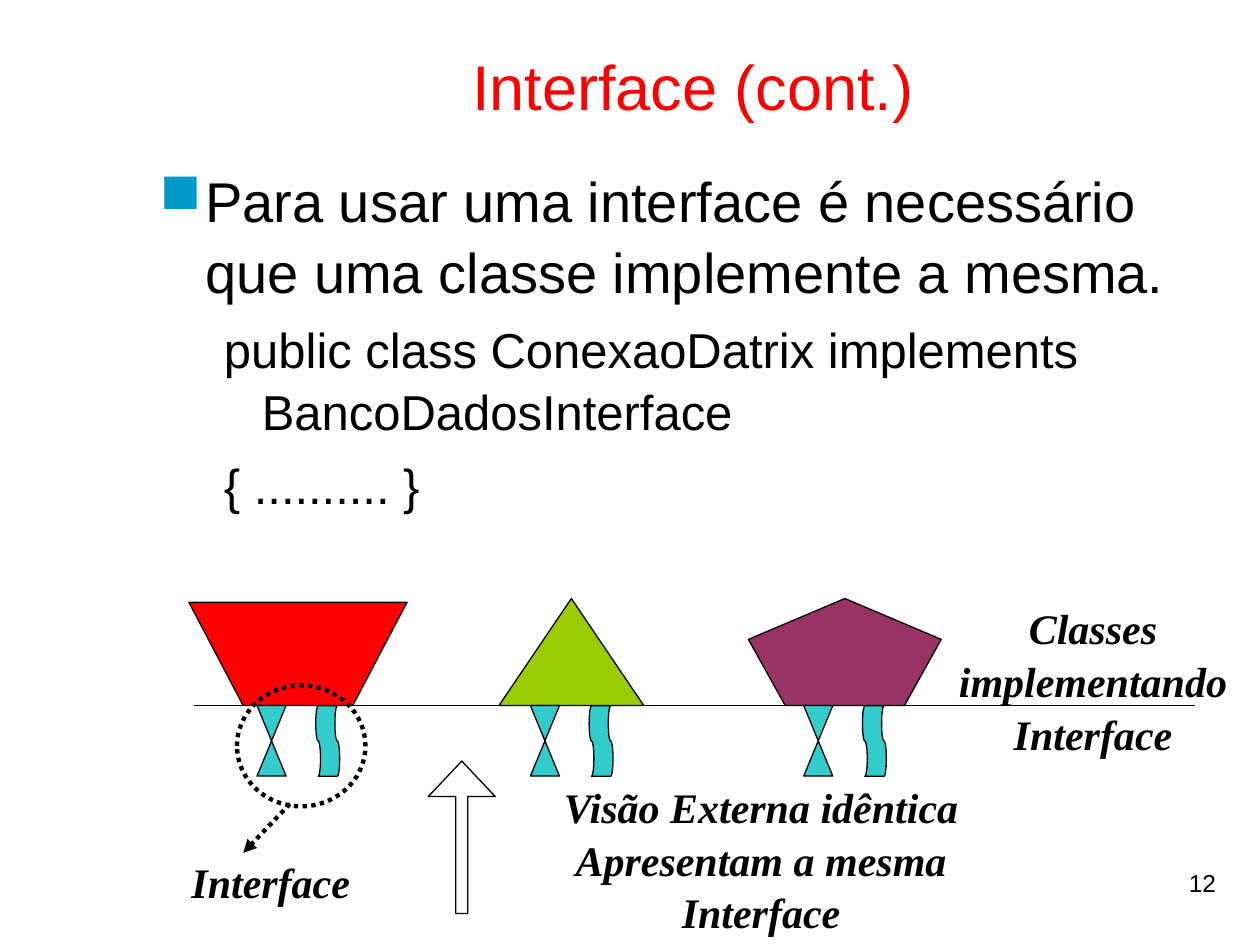
from dataclasses import dataclass
from lxml import etree
from pptx import Presentation
from pptx.dml.color import RGBColor
from pptx.enum.dml import MSO_LINE
from pptx.enum.shapes import MSO_CONNECTOR, MSO_SHAPE
from pptx.enum.text import MSO_ANCHOR, MSO_AUTO_SIZE, PP_ALIGN
from pptx.oxml.ns import qn
from pptx.util import Pt

LEFT, MID, RIGHT = PP_ALIGN.LEFT, PP_ALIGN.CENTER, PP_ALIGN.RIGHT
TOP, CENTER = MSO_ANCHOR.TOP, MSO_ANCHOR.MIDDLE
FIT = MSO_AUTO_SIZE.SHAPE_TO_FIT_TEXT
DOTS = MSO_LINE.ROUND_DOT
STRAIGHT = MSO_CONNECTOR.STRAIGHT
TRIANGLE, PENTAGON = MSO_SHAPE.ISOSCELES_TRIANGLE, MSO_SHAPE.REGULAR_PENTAGON
COLLATE, TAPE = MSO_SHAPE.FLOWCHART_COLLATE, MSO_SHAPE.FLOWCHART_PUNCHED_TAPE
ARROW, OVAL = MSO_SHAPE.UP_ARROW, MSO_SHAPE.OVAL


@dataclass(frozen=True)
class Theme:
    sans: str = "Arial"
    serif: str = "Times New Roman"
    ink: str = "000000"
    paper: str = "FFFFFF"
    red: str = "FF0000"
    blue: str = "0099CC"
    green: str = "99CC00"
    plum: str = "993366"
    teal: str = "33CCCC"
    title: int = 36
    body: int = 32
    code: int = 28
    label: int = 24
    page: int = 14
    thin: float = 0.74
    thick: float = 2.49
    lead: float = 1.05


look = Theme()


def color(code):
    return RGBColor.from_string(code)


def add_text(slide, box, lines, size, tint=look.ink, face=look.sans,
             align=LEFT, anchor=TOP, wrap=True, strong=False):
    frame = slide.shapes.add_textbox(*map(Pt, box)).text_frame
    frame.word_wrap = wrap
    frame.vertical_anchor = anchor
    if not wrap:
        frame.auto_size = FIT
    for i, line in enumerate(lines):
        para = frame.paragraphs[0] if i == 0 else frame.add_paragraph()
        para.text = line
        para.alignment = align
        para.line_spacing = look.lead
        font = para.font
        font.name, font.size = face, Pt(size)
        font.color.rgb = color(tint)
        font.bold = font.italic = strong
    return frame.paragraphs


def add_label(slide, box, lines):
    add_text(slide, box, lines, look.label, face=look.serif, align=MID,
             anchor=CENTER, wrap=False, strong=True)


def paint(shape, fill=None, dots=False):
    shape.shadow.inherit = False
    if fill:
        shape.fill.solid()
        shape.fill.fore_color.rgb = color(fill)
    else:
        shape.fill.background()
    draw_line(shape.line, dots)


def draw_line(line, dots):
    line.color.rgb = color(look.ink)
    line.width = Pt(look.thick if dots else look.thin)
    if dots:
        line.dash_style = DOTS


def add_form(slide, kind, box, fill=None, dots=False):
    shape = slide.shapes.add_shape(kind, *map(Pt, box))
    paint(shape, fill, dots)
    return shape


def add_rule(slide, start, end, dots=False, head=False):
    rule = slide.shapes.add_connector(STRAIGHT, *map(Pt, start + end))
    draw_line(rule.line, dots)
    if head:
        stroke = rule.line._get_or_add_ln()
        etree.SubElement(stroke, qn("a:tailEnd"), type="triangle")
    etree.SubElement(rule._element.spPr, qn("a:effectLst"))


def set_indent(para, left, hang, gap, mark=None):
    para.space_before = Pt(gap)
    props = para._p.get_or_add_pPr()
    props.set("marL", str(Pt(left)))
    props.set("indent", str(Pt(-hang)))
    if mark:
        tint = etree.SubElement(props, qn("a:buClr"))
        etree.SubElement(tint, qn("a:srgbClr"), val=look.blue)
        etree.SubElement(props, qn("a:buChar"), char=mark)
        order = props.find(qn("a:defRPr"))
        if order is not None:
            props.append(order)


def add_body(slide, box):
    lines = [
        "Para usar uma interface é necessário que uma classe implemente a mesma.",
        "public class ConexaoDatrix implements BancoDadosInterface",
        "{ .......... }",
    ]
    first, *rest = add_text(slide, box, lines, look.body)
    set_indent(first, 26, 26, 8, "■")
    for para in rest:
        para.level = 1
        para.font.size = Pt(look.code)
        set_indent(para, 58.3, 21.6, 7)


def add_feet(slide, x, y):
    add_form(slide, COLLATE, (x, y, 16.6, 40.3), look.teal)
    tape = add_form(slide, TAPE, (x + 20.2, y + 13.4, 40.3, 13.7), look.teal)
    tape.rotation = 90


def add_scheme(slide, x, y):
    base = y + 61.2
    edge = [(0, 2.2), (31, 61.2), (93.6, 61.2), (124.6, 2.2)]
    points = [(Pt(x + a), Pt(y + b)) for a, b in edge]
    path = slide.shapes.build_freeform(*points[0], scale=1.0)
    path.add_line_segments(points[1:], close=True)
    paint(path.convert_to_shape(), look.red)
    add_form(slide, TRIANGLE, (x + 177.1, y, 82.8, 61.2), look.green)
    add_form(slide, PENTAGON, (x + 319.7, y, 110.2, 61.2), look.plum)
    for i in range(3):
        add_feet(slide, x + 38.9 + 156.2 * i, base)
    add_rule(slide, (x + 2.9, base), (x + 574.6, base))
    add_label(slide, (x + 432.7, y - 0.7, 167.8, 93.6),
              ["Classes", "implementando", "Interface"])
    arrow = add_form(slide, ARROW, (x + 136.8, y + 92.9, 38.2, 87.1), look.paper)
    arrow.adjustments[0], arrow.adjustments[1] = 0.18, 0.53
    add_label(slide, (x + 165.6, y + 115.9, 322.6, 64.8),
              ["Visão Externa idêntica", "Apresentam a mesma Interface"])
    add_form(slide, OVAL, (x + 27.4, y + 49.7, 73.4, 69.1), dots=True)
    add_rule(slide, (x + 57.6, y + 117.4), (x + 31, y + 145.4), True, True)
    add_label(slide, (x - 5.8, y + 143.3, 105.1, 36), ["Interface"])


def build():
    deck = Presentation()
    deck.slide_width, deck.slide_height = Pt(720), Pt(540)
    slide = deck.slides.add_slide(deck.slide_layouts[6])
    page = add_text(slide, (552.2, 491.8, 149.8, 36), ["12"], look.page, align=RIGHT)
    page[0].space_before = Pt(8.8)
    add_text(slide, (90, 18, 612, 59.8), ["Interface (cont.)"], look.title,
             look.red, align=MID, anchor=CENTER)
    add_body(slide, (84.2, 90, 617.8, 228.2))
    add_scheme(slide, 108, 342)
    deck.save("out.pptx")


build()
